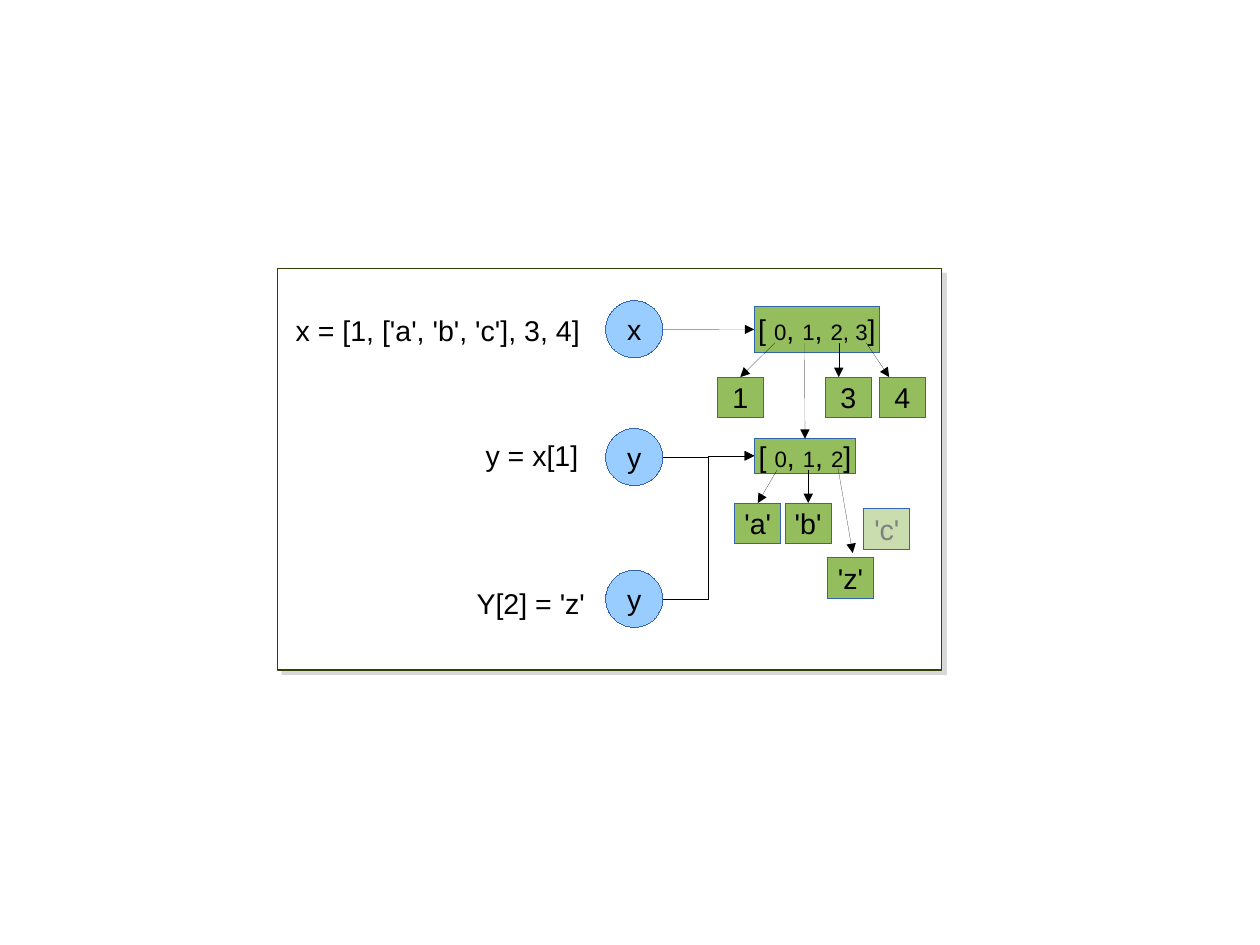
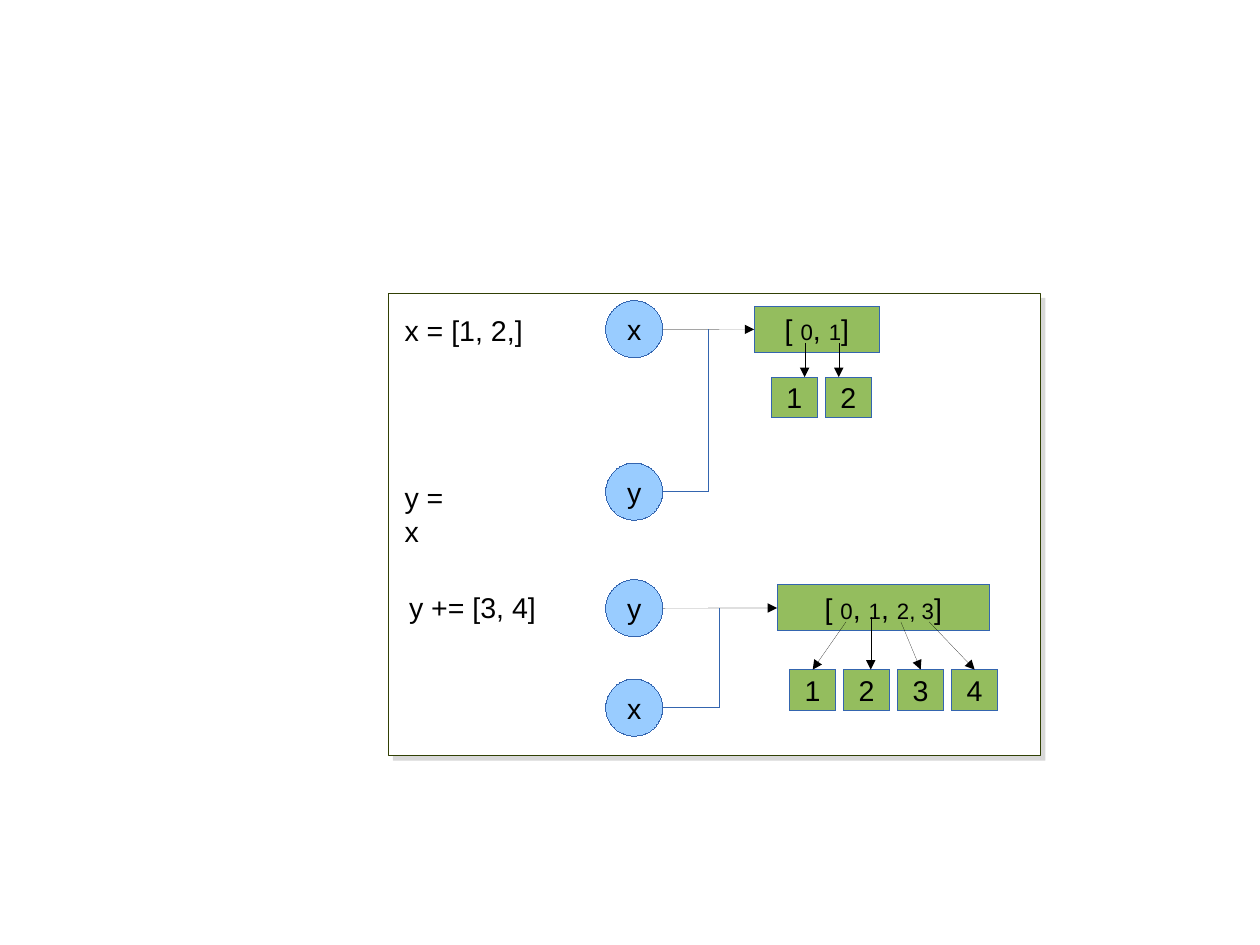
"""Draw two name-and-object diagrams of Python list references."""
from dataclasses import dataclass

from lxml import etree
from pptx import Presentation
from pptx.dml.color import RGBColor
from pptx.enum.shapes import MSO_CONNECTOR, MSO_SHAPE
from pptx.enum.text import MSO_ANCHOR, PP_ALIGN
from pptx.oxml.ns import qn
from pptx.util import Cm, Pt

RECT, OVAL = MSO_SHAPE.RECTANGLE, MSO_SHAPE.OVAL
STRAIGHT, ELBOW = MSO_CONNECTOR.STRAIGHT, MSO_CONNECTOR.ELBOW
LEFT, CENTER = PP_ALIGN.LEFT, PP_ALIGN.CENTER
TOP, MIDDLE = MSO_ANCHOR.TOP, MSO_ANCHOR.MIDDLE

COLORS = {
    "paper": "FFFFFF", "frame": "314004", "shadow": "808080",
    "name": "99CCFF", "object": "94BD5E", "edge": "3465AF",
    "ink": "000000", "faded": "808080",
}
FONT = "Arial"
SIZE, SMALL = 18, 14
HAIRLINE = Pt(0.01)

NAME_X, NAME_D = 13.46, 1.27
NAME_RIGHT = NAME_X + NAME_D
LIST_X = 16.76
ITEM_W, ITEM_H, ITEM_STEP = 1.02, 0.91, 1.2
ITEMS_X, ITEMS_Y = 15.94, 8.38
LABEL_H = 0.97
SIDE_TOP, SIDE_LEFT = 0, 1


@dataclass(frozen=True)
class Box:
    text: str
    x: float
    y: float
    w: float = ITEM_W
    h: float = ITEM_H
    faded: bool = False


@dataclass(frozen=True)
class Name:
    text: str
    y: float

    @property
    def port(self) -> tuple[float, float]:
        return NAME_RIGHT, self.y + NAME_D / 2


@dataclass(frozen=True)
class Label:
    text: str
    x: float
    y: float
    w: float


@dataclass(frozen=True)
class Link:
    start: tuple[float, float]
    end: Box | tuple[float, float]
    side: int = SIDE_TOP
    kind: int = STRAIGHT


@dataclass(frozen=True)
class Corner:
    start: tuple[float, float]
    end: tuple[float, float]


@dataclass(frozen=True)
class Diagram:
    frame: tuple[float, float, float, float]
    labels: list[Label]
    names: list[Name]
    boxes: list[Box]
    links: list[Link]
    corners: list[Corner]


def rgb(key: str) -> RGBColor:
    return RGBColor.from_string(COLORS[key])


def put_text(sp, text: str, *, color: str = "ink", align=CENTER, anchor=MIDDLE) -> None:
    tf = sp.text_frame
    tf.word_wrap = False
    tf.vertical_anchor = anchor
    p = tf.paragraphs[0]
    p.alignment = align
    for i, part in enumerate(text.split("|")):
        r = p.add_run()
        r.text = part
        r.font.name = FONT
        r.font.size = Pt(SMALL if i % 2 else SIZE)
        r.font.color.rgb = rgb(color)


def add_solid(slide, shape, x: float, y: float, w: float, h: float, *,
              fill: str, edge: str = "edge", width=HAIRLINE):
    sp = slide.shapes.add_shape(shape, Cm(x), Cm(y), Cm(w), Cm(h))
    sp.shadow.inherit = False
    sp.fill.solid()
    sp.fill.fore_color.rgb = rgb(fill)
    sp.line.color.rgb = rgb(edge)
    sp.line.width = width
    return sp


def add_alpha(color_el, percent: int) -> None:
    etree.SubElement(color_el, qn("a:alpha"), val=str(percent * 1000))


def add_frame(slide, frame: tuple[float, float, float, float]) -> None:
    sp = add_solid(slide, RECT, *frame, fill="paper", edge="frame", width=Pt(0.71))
    effects = sp._element.spPr.find(qn("a:effectLst"))
    shadow = etree.SubElement(effects, qn("a:outerShdw"), blurRad="0",
                              dist=str(Pt(4.1)), dir=str(45 * 60000),
                              algn="tl", rotWithShape="0")
    add_alpha(etree.SubElement(shadow, qn("a:srgbClr"), val=COLORS["shadow"]), 30)


def add_box(slide, box: Box):
    sp = add_solid(slide, RECT, box.x, box.y, box.w, box.h, fill="object")
    if box.faded:
        add_alpha(sp._element.spPr.find(qn("a:solidFill"))[0], 50)
    put_text(sp, box.text, color="faded" if box.faded else "ink")
    return sp


def add_line(slide, kind, start: tuple[float, float], end: tuple[float, float],
             color: str):
    cxn = slide.shapes.add_connector(kind, *map(Cm, start + end))
    cxn.line.color.rgb = rgb(color)
    cxn.line.width = HAIRLINE
    etree.SubElement(cxn._element.spPr, qn("a:effectLst"))
    return cxn


def add_link(slide, link: Link, shapes: dict) -> None:
    joined = isinstance(link.end, Box)
    end = link.start if joined else link.end
    cxn = add_line(slide, link.kind, link.start, end, "ink")
    etree.SubElement(cxn.line._get_or_add_ln(), qn("a:tailEnd"), type="triangle")
    if joined:
        cxn.end_connect(shapes[link.end], link.side)


def add_corner(slide, corner: Corner) -> None:
    cxn = add_line(slide, ELBOW, corner.start, corner.end, "edge")
    cxn._element.spPr.find(qn("a:prstGeom")).set("prst", "bentConnector2")


def draw(prs, diagram: Diagram) -> None:
    slide = prs.slides.add_slide(prs.slide_layouts[6])
    add_frame(slide, diagram.frame)
    for label in diagram.labels:
        sp = slide.shapes.add_textbox(Cm(label.x), Cm(label.y), Cm(label.w), Cm(LABEL_H))
        put_text(sp, label.text, align=LEFT, anchor=TOP)
    for name in diagram.names:
        sp = add_solid(slide, OVAL, NAME_X, name.y, NAME_D, NAME_D, fill="name")
        put_text(sp, name.text)
    shapes = {box: add_box(slide, box) for box in diagram.boxes}
    for link in diagram.links:
        add_link(slide, link, shapes)
    for corner in diagram.corners:
        add_corner(slide, corner)


def item_row(texts: list[str], x: float, y: float, step: float = ITEM_STEP) -> list[Box]:
    return [Box(t, x + i * step, y) for i, t in enumerate(texts) if t]


def nested_list() -> Diagram:
    x, y, y_again = Name("x", 6.68), Name("y", 9.52), Name("y", 12.67)
    outer = Box("[ |0|, |1|, |2, 3|]", LIST_X, 6.81, 2.79, 1.02)
    inner = Box("[ |0|, |1|, |2|]", LIST_X, 9.75, 2.26, 0.77)
    numbers = item_row(["1", "", "3", "4"], ITEMS_X, ITEMS_Y)
    letters = item_row(["'a'", "'b'"], 16.33, 11.18, 1.12)
    old, new = Box("'c'", 19.2, 11.3, faded=True), Box("'z'", 18.39, 12.4)
    inner_port = (LIST_X, 10.13)
    return Diagram(
        frame=(6.17, 5.97, 14.76, 8.92),
        labels=[Label("x = [1, ['a', 'b', 'c'], 3, 4]", 6.32, 6.83, 6.86),
                Label("y = x[1]", 10.54, 9.6, 2.57),
                Label("Y[2] = 'z'", 10.34, 12.9, 2.92)],
        names=[x, y, y_again],
        boxes=[outer, inner, *numbers, *letters, old, new],
        links=[Link(x.port, outer, SIDE_LEFT),
               Link((17.22, 7.62), numbers[0]),
               Link((17.88, 7.62), inner),
               Link((18.64, 7.62), (18.64, ITEMS_Y)),
               Link((19.25, 7.62), (19.76, ITEMS_Y)),
               Link((17.27, 10.44), letters[0]),
               Link((17.96, 10.44), letters[1]),
               Link((18.62, 10.39), (18.95, 12.29)),
               Link(y.port, inner_port, kind=ELBOW),
               Link(y_again.port, inner_port, kind=ELBOW)],
        corners=[],
    )


def shared_list() -> Diagram:
    x, y = Name("x", 6.68), Name("y", 10.29)
    y_after, x_after = Name("y", 12.88), Name("x", 15.09)
    before = Box("[ |0|, |1|]", LIST_X, 6.81, 2.79, 1.02)
    after = Box("[ |0|, |1|, |2, 3|]", 17.27, 13.0, 4.72, 1.02)
    pair = item_row(["", "1", "2"], ITEMS_X, ITEMS_Y)
    four = item_row(["1", "2", "3", "4"], 17.55, 14.88)
    return Diagram(
        frame=(8.64, 6.53, 14.48, 10.26),
        labels=[Label("x = [1, 2,]", 8.74, 6.83, 3.15),
                Label("y = x", 8.74, 10.54, 1.85),
                Label("y += [3, 4]", 8.84, 12.98, 3.34)],
        names=[x, y, y_after, x_after],
        boxes=[before, after, *pair, *four],
        links=[Link(x.port, before, SIDE_LEFT),
               Link((17.88, 7.62), (17.88, ITEMS_Y)),
               Link((18.64, 7.62), (18.64, ITEMS_Y)),
               Link(y_after.port, after, SIDE_LEFT),
               Link((18.8, 13.82), four[0]),
               Link((19.35, 13.72), (19.35, 14.88)),
               Link((20.02, 13.82), four[2]),
               Link((20.65, 13.82), four[3])],
        corners=[Corner(y.port, (15.75, x.port[1])),
                 Corner(x_after.port, (16.0, y_after.port[1]))],
    )


def main() -> None:
    prs = Presentation()
    prs.slide_width, prs.slide_height = Cm(28), Cm(21)
    for diagram in (nested_list(), shared_list()):
        draw(prs, diagram)
    prs.save("out.pptx")


if __name__ == "__main__":
    main()
